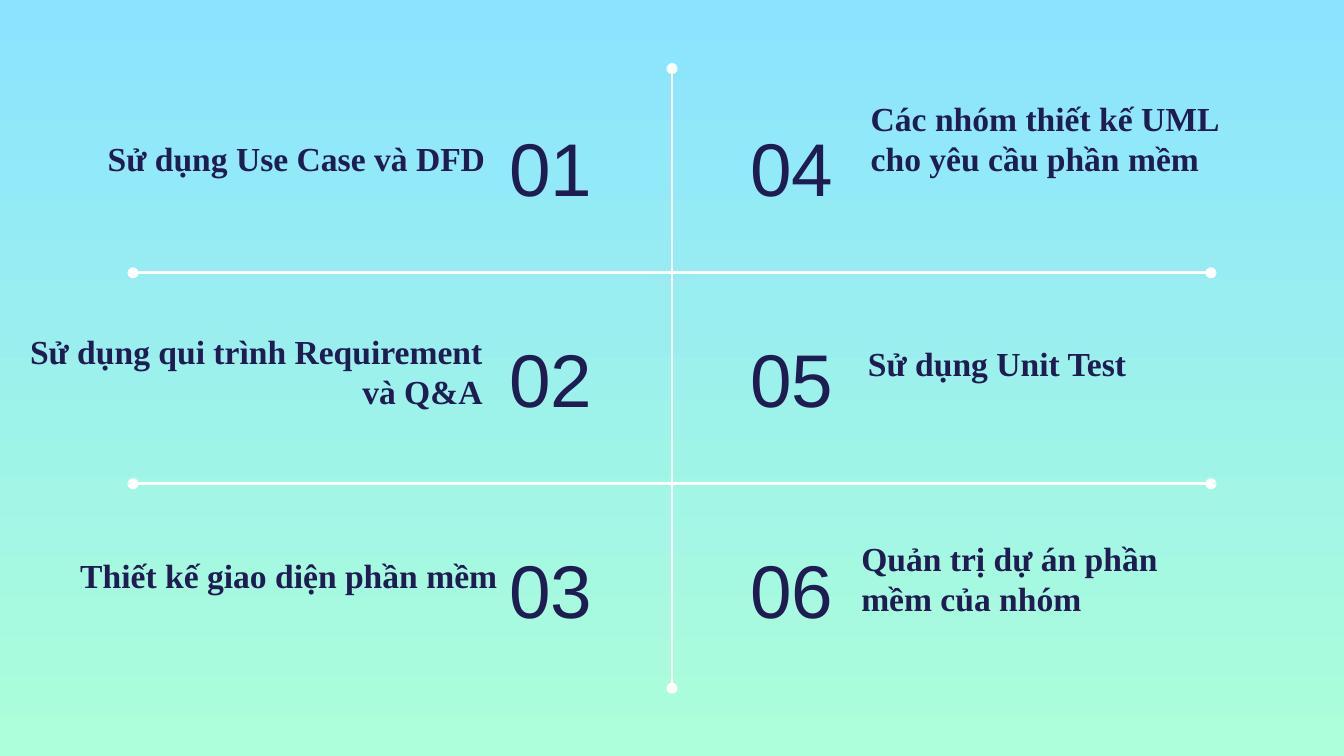
from dataclasses import dataclass

from lxml import etree
from pptx import Presentation
from pptx.dml.color import RGBColor
from pptx.enum import shapes, text
from pptx.oxml import ns
from pptx.util import Inches, Pt


@dataclass(frozen=True)
class Theme:
    sky: RGBColor = RGBColor(0x8B, 0xE3, 0xFF)
    mint: RGBColor = RGBColor(0xAC, 0xFF, 0xD9)
    ink: RGBColor = RGBColor(0x1F, 0x1C, 0x51)
    rule: RGBColor = RGBColor(0xFF, 0xFF, 0xFF)
    number_font: str = "Arial"
    topic_font: str = "Times New Roman"
    number_size: int = 40
    topic_size: int = 18
    rule_width: float = 1.5


THEME = Theme()
SLIDE_WIDTH = 10
SLIDE_HEIGHT = SLIDE_WIDTH * 9 / 16
CENTER = SLIDE_WIDTH / 2
FIRST_ROW = 0.81
ROW_STEP = 1.57
NUMBER_WIDTH, NUMBER_HEIGHT = 1.3, 0.86
LEFT_NUMBER = 3.69
TOPIC_HEIGHT = 0.5

LEFT_TOPICS = [
    ("Sử dụng Use Case và DFD", 0.43, 0.93, 3.28),
    ("Sử dụng qui trình Requirement và Q&A", -0.18, 2.66, 3.87),
    ("Thiết kế giao diện phần mềm", 0.44, 4.03, 3.36),
]
RIGHT_TOPICS = [
    ("Các nhóm thiết kế UML cho yêu cầu phần mềm", 6.38, 0.93, 2.98),
    ("Sử dụng Unit Test", 6.36, 2.45, 2.98),
    ("Quản trị dự án phần mềm của nhóm", 6.31, 4.2, 2.98),
]


def paint_background(slide):
    fill = slide.background.fill
    fill.gradient()
    fill.gradient_angle = 270
    for stop, color, position in zip(fill.gradient_stops, (THEME.sky, THEME.mint), (0, 1)):
        stop.color.rgb = color
        stop.position = position


def write_text(shape, content, box, alignment, anchor, font_name, size, bold):
    shape.left, shape.top, shape.width, shape.height = map(Inches, box)
    frame = shape.text_frame
    frame.text = content
    frame.word_wrap = True
    frame.auto_size = text.MSO_AUTO_SIZE.NONE
    frame.vertical_anchor = anchor
    frame.margin_left = frame.margin_right = Inches(0.1)
    frame.margin_top = frame.margin_bottom = Inches(0.1)
    paragraph = frame.paragraphs[0]
    paragraph.alignment = alignment
    font = paragraph.runs[0].font
    font.name, font.size, font.bold = font_name, Pt(size), bold
    font.color.rgb = THEME.ink


def add_text_box(slide):
    return slide.shapes.add_textbox(0, 0, 0, 0)


def add_number(shape, number, left, row, alignment):
    box = (left, FIRST_ROW + row * ROW_STEP, NUMBER_WIDTH, NUMBER_HEIGHT)
    write_text(shape, f"{number:02d}", box, alignment, text.MSO_ANCHOR.MIDDLE,
               THEME.number_font, THEME.number_size, False)


def add_topic(slide, topic, alignment):
    content, left, top, width = topic
    write_text(add_text_box(slide), content, (left, top, width, TOPIC_HEIGHT), alignment,
               text.MSO_ANCHOR.BOTTOM, THEME.topic_font, THEME.topic_size, True)


def add_rule(slide, *ends):
    rule = slide.shapes.add_connector(shapes.MSO_CONNECTOR.STRAIGHT, *map(Inches, ends))
    rule.line.color.rgb = THEME.rule
    rule.line.width = Pt(THEME.rule_width)
    for tag in ("a:headEnd", "a:tailEnd"):
        etree.SubElement(rule.get_or_add_ln(), ns.qn(tag), type="oval")
    etree.SubElement(rule.element.spPr, ns.qn("a:effectLst"))


def main():
    presentation = Presentation()
    presentation.slide_width = Inches(SLIDE_WIDTH)
    presentation.slide_height = Inches(SLIDE_HEIGHT)
    slide = presentation.slides.add_slide(presentation.slide_layouts[5])
    paint_background(slide)

    add_rule(slide, CENTER, 0.51, CENTER, 5.12)
    for row in range(2):
        height = 2.03 + row * ROW_STEP
        add_rule(slide, 0.99, height, 9.01, height)

    columns = [
        (LEFT_TOPICS, LEFT_NUMBER, text.PP_ALIGN.LEFT, text.PP_ALIGN.RIGHT),
        (RIGHT_TOPICS, CENTER, text.PP_ALIGN.RIGHT, text.PP_ALIGN.LEFT),
    ]
    number = 1
    for topics, number_left, number_alignment, topic_alignment in columns:
        for row, topic in enumerate(topics):
            shape = slide.shapes.title if number == 1 else add_text_box(slide)
            add_number(shape, number, number_left, row, number_alignment)
            add_topic(slide, topic, topic_alignment)
            number += 1

    presentation.save("out.pptx")


if __name__ == "__main__":
    main()
